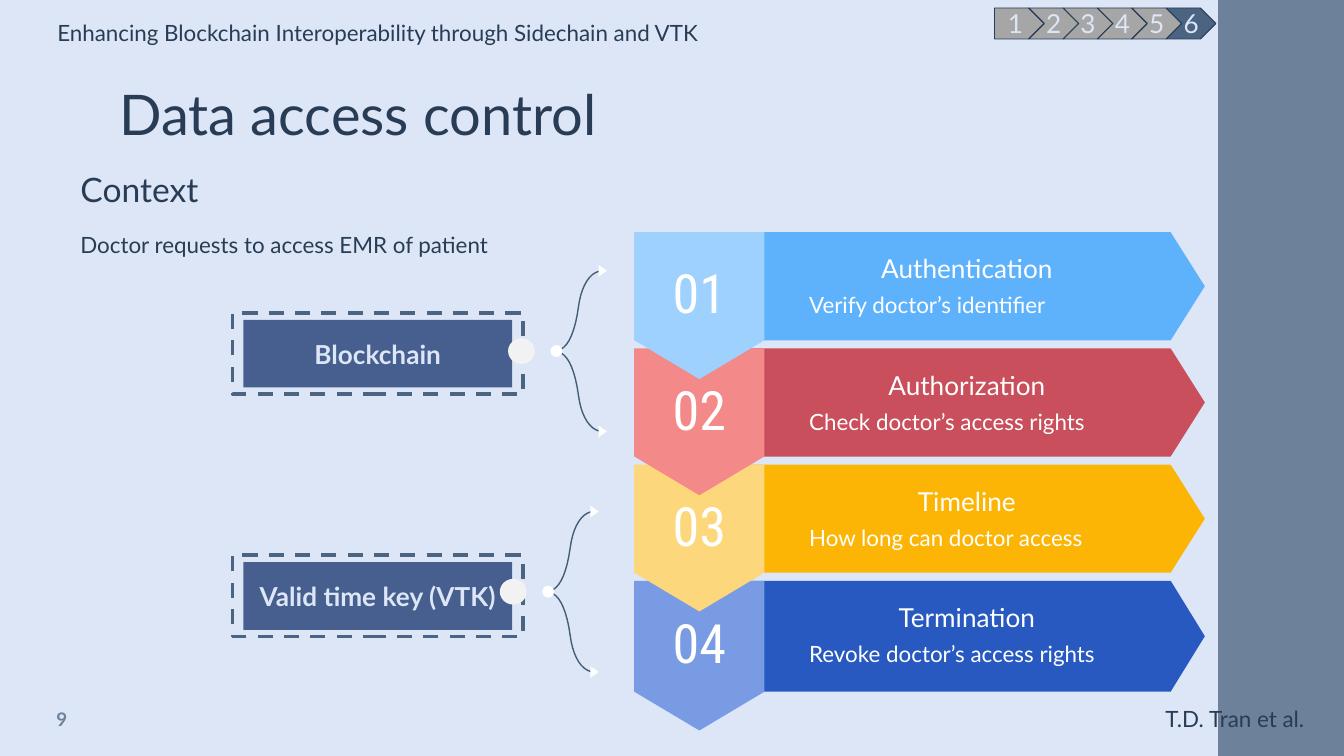
from pptx import Presentation
from pptx.dml.color import RGBColor
from pptx.enum.dml import MSO_LINE
from pptx.enum.shapes import MSO_SHAPE
from pptx.enum.text import MSO_ANCHOR, PP_ALIGN
from pptx.util import Pt

RECT, OVAL = MSO_SHAPE.RECTANGLE, MSO_SHAPE.OVAL
PLATE, CHEVRON = MSO_SHAPE.PENTAGON, MSO_SHAPE.CHEVRON
TOP, MIDDLE, BOTTOM = MSO_ANCHOR.TOP, MSO_ANCHOR.MIDDLE, MSO_ANCHOR.BOTTOM
LEFT, CENTER = PP_ALIGN.LEFT, PP_ALIGN.CENTER
DASH = MSO_LINE.DASH

PALE = RGBColor(0xDD, 0xE6, 0xF7)
INK = RGBColor(0x28, 0x3D, 0x55)
SLATE = RGBColor(0x6D, 0x81, 0x9A)
STEEL = RGBColor(0x4A, 0x64, 0x82)
NAVY = RGBColor(0x46, 0x5F, 0x8E)
CURVE = RGBColor(0x43, 0x5D, 0x74)
GREY = RGBColor(0xA6, 0xA6, 0xA6)
KNOB = RGBColor(0xF2, 0xF2, 0xF2)
WHITE = RGBColor(0xFF, 0xFF, 0xFF)

# heading, detail, arrow colour, tab colour, arrow height
STEPS = [
    ("Authentication", "Verify doctor’s identifier",
     RGBColor(0x5E, 0xB2, 0xFC), RGBColor(0x9E, 0xD1, 0xFD), 57.9),
    ("Authorization", "Check doctor’s access rights",
     RGBColor(0xC8, 0x4F, 0x5B), RGBColor(0xF4, 0x89, 0x89), 57.9),
    ("Timeline", "How long can doctor access",
     RGBColor(0xFC, 0xB5, 0x04), RGBColor(0xFD, 0xD7, 0x7C), 57.9),
    ("Termination", "Revoke doctor’s access rights",
     RGBColor(0x27, 0x59, 0xC0), RGBColor(0x78, 0x9B, 0xE3), 59.4),
]


def write(shape, text, size, color, align=LEFT, anchor=TOP,
          inset=(7.2, 3.6, 7.2, 3.6), face="Lato", bold=False):
    frame = shape.text_frame
    frame.text = text
    frame.word_wrap = True
    frame.vertical_anchor = anchor
    (frame.margin_left, frame.margin_top,
     frame.margin_right, frame.margin_bottom) = map(Pt, inset)
    para = frame.paragraphs[0]
    para.alignment = align
    font = para.runs[0].font
    font.name, font.size, font.bold = face, Pt(size), bold
    font.color.rgb = color


def label(slide, box, *args, **style):
    write(slide.shapes.add_textbox(*map(Pt, box)), *args, **style)


def paint(shape, fill=None, line=None, width=1):
    shape.shadow.inherit = False
    if fill is None:
        shape.fill.background()
    else:
        shape.fill.solid()
        shape.fill.fore_color.rgb = fill
    if line is None:
        shape.line.fill.background()
    else:
        shape.line.color.rgb = line
        shape.line.width = Pt(width)
    return shape


def block(slide, kind, box, **look):
    return paint(slide.shapes.add_shape(kind, *map(Pt, box)), **look)


def outline(slide, x, y, dots, close=True, **look):
    """Draw straight segments through dots given relative to (x, y)."""
    dots = [(Pt(x + dx), Pt(y + dy)) for dx, dy in dots]
    pen = slide.shapes.build_freeform(*dots[0], scale=1.0)
    pen.add_line_segments(dots[1:], close=close)
    return paint(pen.convert_to_shape(), **look)


def bezier(a, b, c, d, count=10):
    for i in range(count + 1):
        t = i / count
        u = 1 - t
        yield tuple(u**3 * p + 3 * u * u * t * q + 3 * u * t * t * r + t**3 * s
                    for p, q, r, s in zip(a, b, c, d))


def frame(slide):
    block(slide, RECT, (652.5, 0, 61.7 + 5.8, 405), fill=SLATE)
    label(slide, (23.6, 6.5, 492.5, 21.8),
          "Enhancing Blockchain Interoperability through Sidechain and VTK", 12, INK)
    label(slide, (617.2, 374, 101.5, 21.8), "T.D. Tran et al.", 12, INK)
    label(slide, (16.6, 374.4, 33, 21.6), "9", 10, SLATE,
          align=CENTER, anchor=MIDDLE, bold=True)


def intro(slide, x, y):
    wide = (7.2,) * 4
    label(slide, (x + 20.9, y, 607, 45.4), "Data access control", 30, INK, inset=wide)
    label(slide, (x, y + 48.2, 250.6, 36), "Context", 18, INK,
          anchor=BOTTOM, inset=wide)
    label(slide, (x, y + 81.4, 272.9, 28.8),
          "Doctor requests to access EMR of patient", 12, INK, inset=wide)


def step(slide, x, y, number, heading, detail, dark, light, high):
    tip = high / 2
    outline(slide, x, y, [(18, 0), (0, tip), (18, high), (287.4, high),
                          (305.7, tip), (287.4, 0)], fill=dark)
    tab = outline(slide, x, y, [(0, 0), (0, high), (34.9, high + 20.8),
                                (69.8, high), (69.8, 0)], fill=light)
    write(tab, f"{number:02}", 29, WHITE, align=CENTER, anchor=MIDDLE,
          inset=(7.2, 7.2, 7.2, 21.6), face="Roboto Condensed")
    style = dict(anchor=MIDDLE, inset=(7.2,) * 4)
    label(slide, (x + 86.6, y + 28.2, 205, 21.6), detail, 12, WHITE, **style)
    label(slide, (x + 117.2, y + 8.6, 122, 21.6), heading, 14, WHITE,
          align=CENTER, **style)


def button(slide, x, y, text):
    edge = block(slide, RECT, (x, y, 155.8, 43.6), line=STEEL, width=2)
    edge.line.dash_style = DASH
    face = block(slide, RECT, (x + 5.8, y + 3.8, 144, 36.2), fill=NAVY)
    write(face, text, 14, PALE, align=CENTER, anchor=MIDDLE, bold=True)


def fork(slide, x, y):
    """Draw a knob and two curved arrows that part at (x, y)."""
    block(slide, OVAL, (x - 24.7, y - 6.9, 14.4, 13.8), fill=KNOB)
    for way in (1, -1):
        bend = [*bezier((25.9, 43), (19.4, 43), (14.4, 35), (13, 23.5)),
                *bezier((13, 23.5), (10.8, 7.9), (6.5, 0), (0, 0))]
        outline(slide, x, y, [(dx, way * dy) for dx, dy in bend],
                close=False, line=CURVE, width=0.75)
        outline(slide, x + 23.8, y + way * 43, [(0, -3.1), (4.4, 0), (0, 3.1)],
                fill=WHITE)
    block(slide, OVAL, (x - 2, y - 3.2, 6.4, 6.4), fill=WHITE)


def tracker(slide, x, y, count):
    for i in range(count):
        chip = block(slide, CHEVRON if i else PLATE, (x + i * 18.4, y, 26.6, 16.6),
                     fill=STEEL if i == count - 1 else GREY, line=INK, width=0.5)
        write(chip, str(i + 1), 14, PALE, align=CENTER, anchor=MIDDLE, inset=(0,) * 4)


def main():
    deck = Presentation()
    deck.slide_width, deck.slide_height = Pt(720), Pt(405)
    slide = deck.slides.add_slide(deck.slide_layouts[6])
    slide.background.fill.solid()
    slide.background.fill.fore_color.rgb = PALE
    frame(slide)
    intro(slide, 36, 35.3)
    for i, parts in reversed(list(enumerate(STEPS))):
        step(slide, 339.8, 124.4 + i * 62.25, i + 1, *parts)
    button(slide, 124.6, 167.6, "Blockchain")
    button(slide, 124.6, 297.4, "Valid time key (VTK)")
    fork(slide, 296.9, 188.1)
    fork(slide, 292.5, 317)
    tracker(slide, 532.8, 4.3, 6)
    deck.save("out.pptx")


if __name__ == "__main__":
    main()
